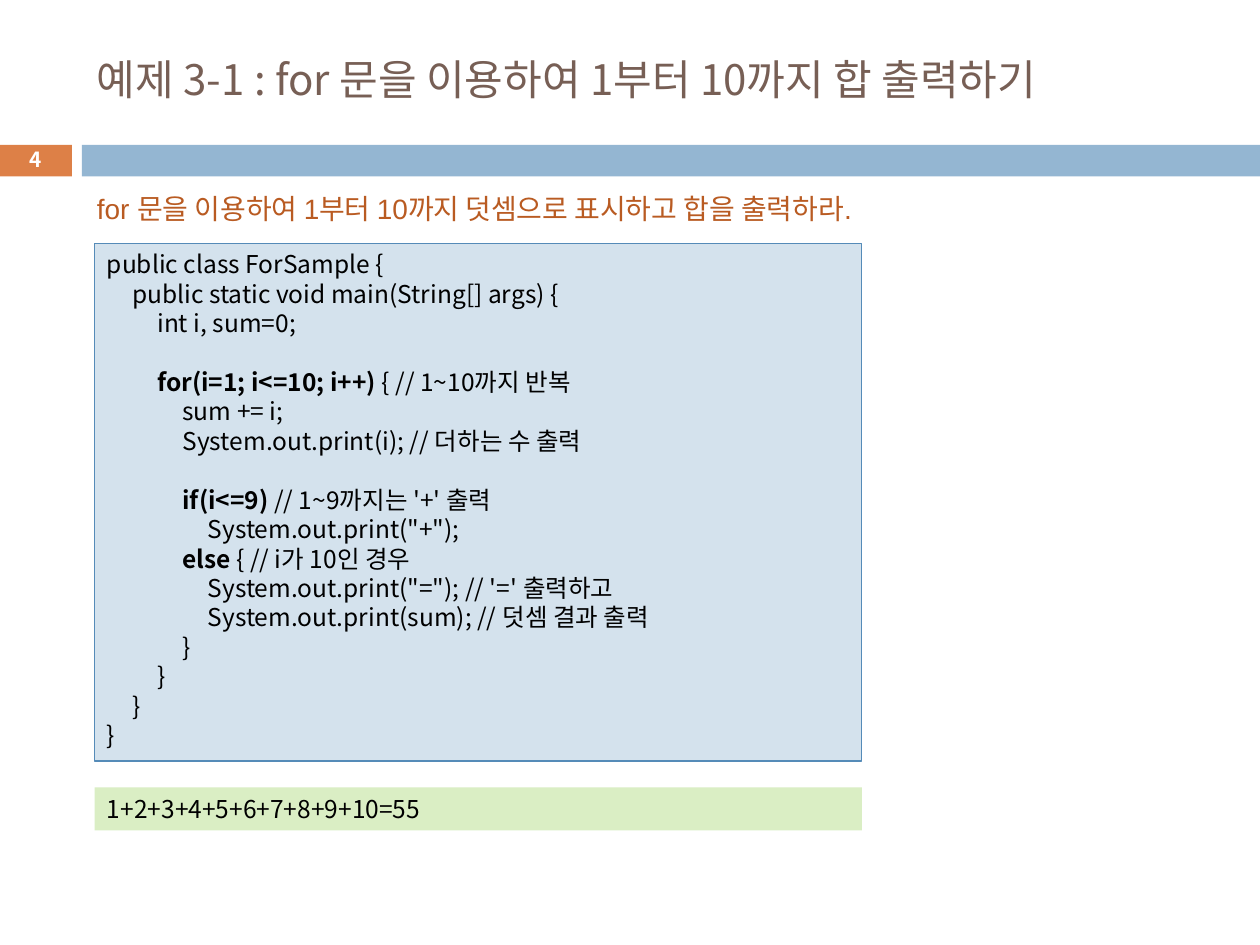
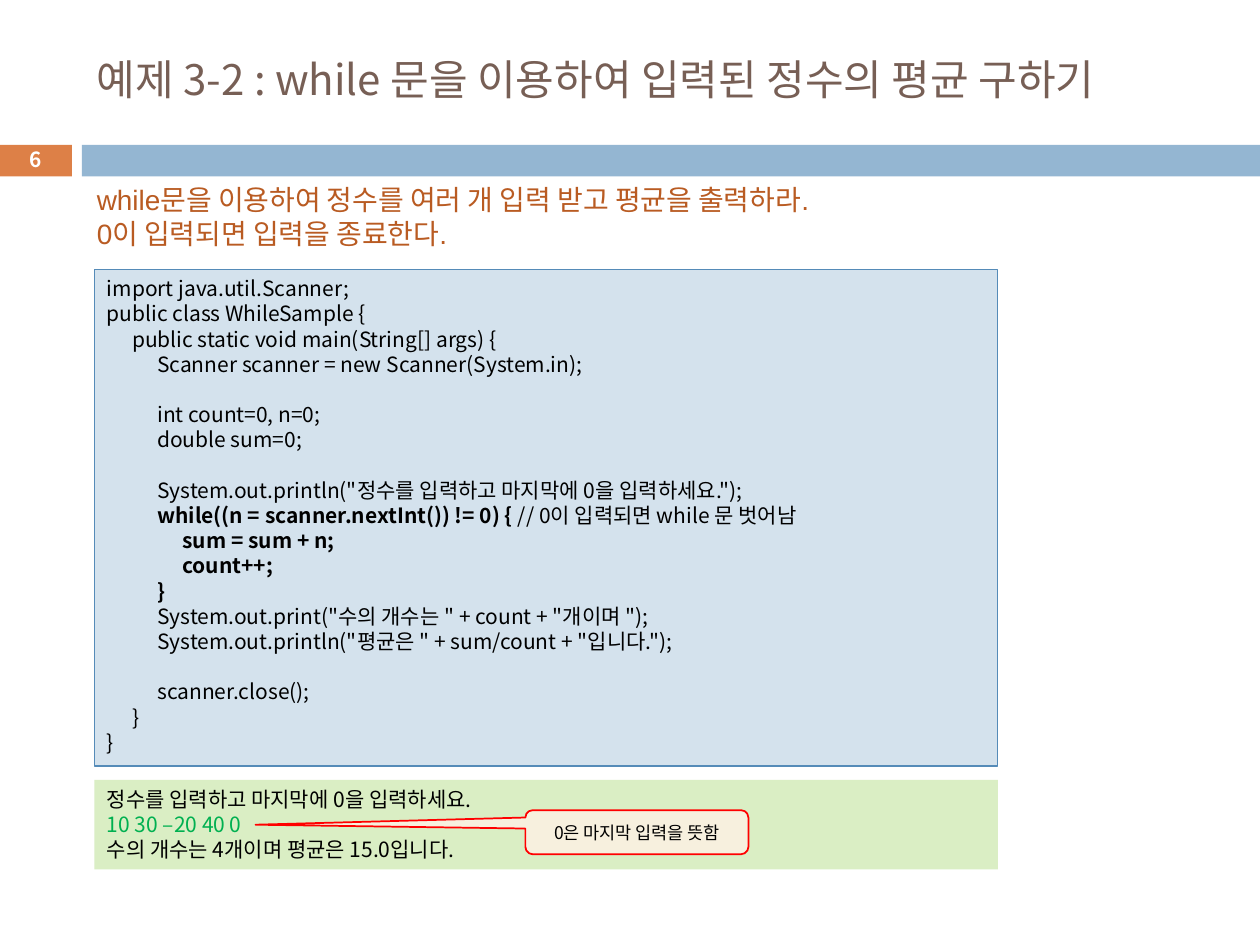
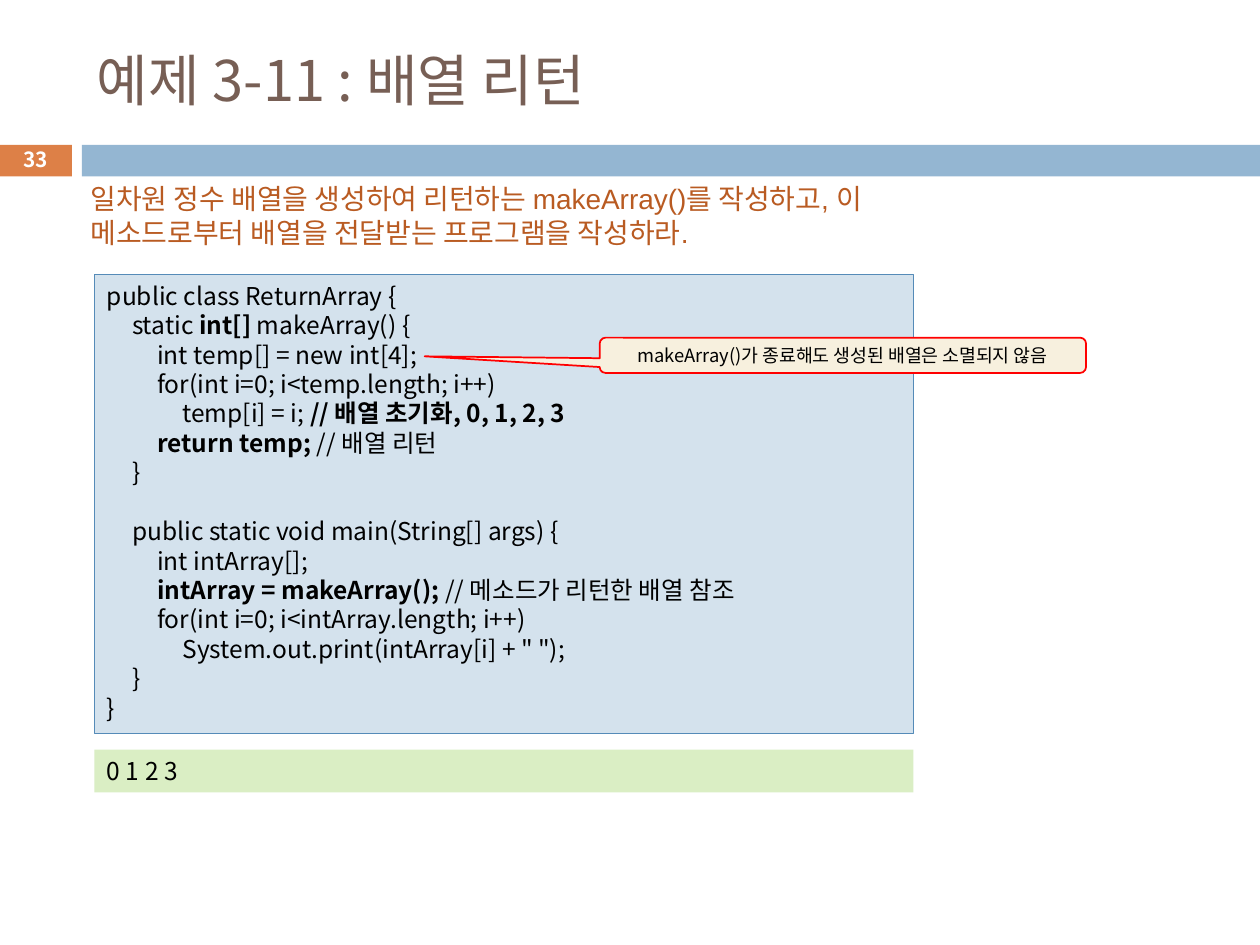
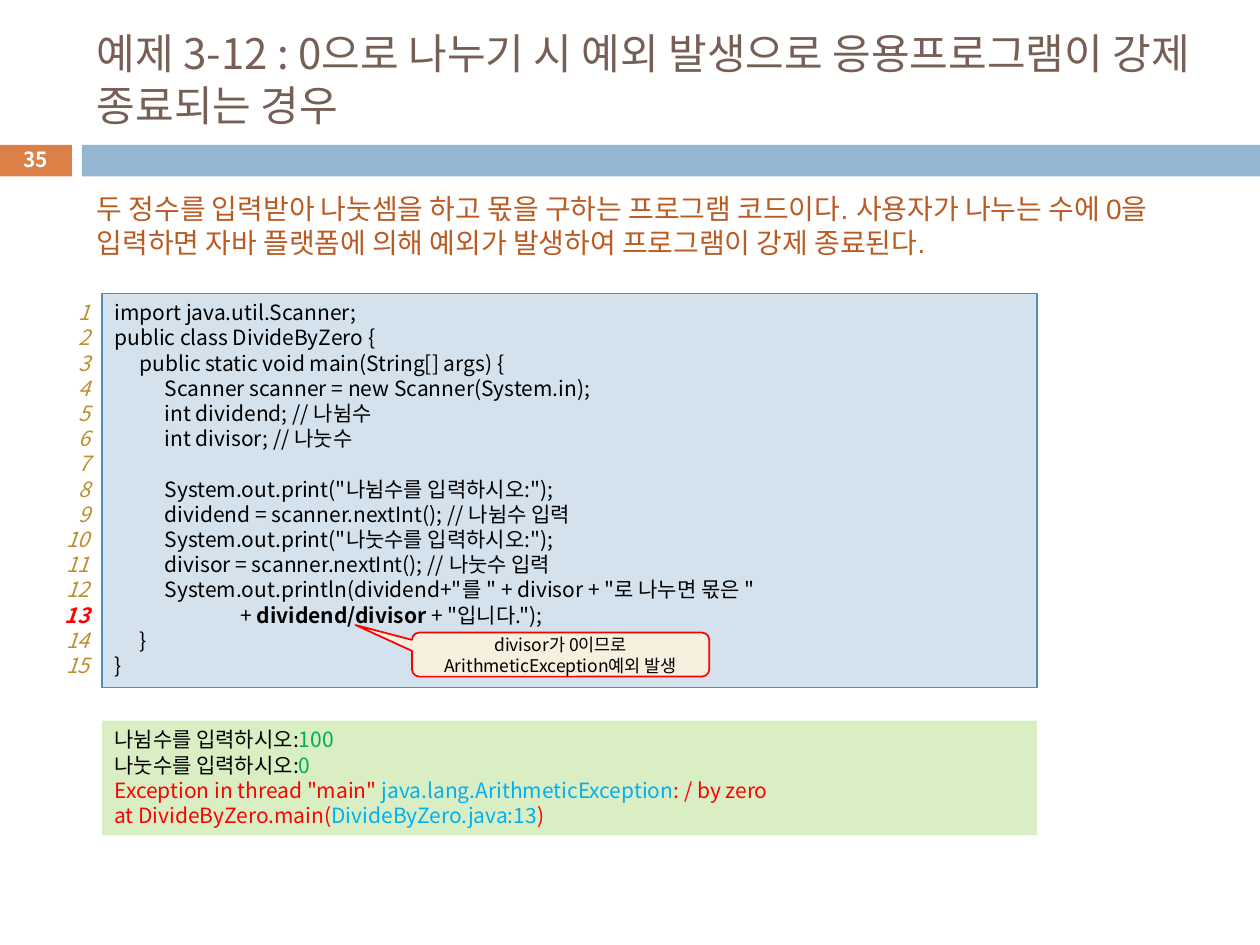
"""Build four Java example slides, each with its code, its output and notes."""
from lxml import etree
from pptx import Presentation
from pptx.dml.color import RGBColor
from pptx.enum.shapes import MSO_SHAPE
from pptx.enum.text import MSO_ANCHOR, PP_ALIGN
from pptx.oxml.ns import qn
from pptx.util import Inches, Pt

RECT = MSO_SHAPE.RECTANGLE
CALLOUT = MSO_SHAPE.ROUNDED_RECTANGULAR_CALLOUT
LEFT, CENTER, RIGHT = PP_ALIGN.LEFT, PP_ALIGN.CENTER, PP_ALIGN.RIGHT
TOP, MIDDLE = MSO_ANCHOR.TOP, MSO_ANCHOR.MIDDLE

SANS = "Noto Sans CJK KR"
BLACK, WHITE, RED = "000000", "FFFFFF", "FF0000"
ORANGE, BLUE = "DD8047", "94B6D2"
TITLE, TASK, GOLD = "775F55", "B95B22", "BA8F2D"
CODE_FILL, CODE_LINE = "D4E2ED", "558BB8"
OUTPUT_FILL, NOTE_FILL = "DAEEC4", "F7F0DE"
TAB = 0.2
MARKS = {
    "n": {},
    "b": {"bold": True},
    "g": {"color": "00B050"},
    "c": {"color": "00B0F0"},
    "r": {"color": RED},
    "e": {"color": RED, "bold": True},
}

SLIDES = [
    {
        "number": 4,
        "title": ("예제 3-1 : for 문을 이용하여 1부터 10까지 합 출력하기", 24, 8.92),
        "task": ("for 문을 이용하여 1부터 10까지 덧셈으로 표시하고 합을 출력하라.",
                 (0.67, 1.47, 6.93, 0.37)),
        "size": 14,
        "code_at": (0.75, 1.93, 6.09, 4.11),
        "code": """
public class ForSample {
    public static void main(String[] args) {
        int i, sum=0;

        §bfor(i=1; i<=10; i++)§n { // 1~10까지 반복
            sum += i;
            System.out.print(i); // 더하는 수 출력

            §bif(i<=9) §n// 1~9까지는 '+' 출력
                System.out.print("+");
            §belse §n{ // i가 10인 경우
                System.out.print("="); // '=' 출력하고
                System.out.print(sum); // 덧셈 결과 출력
            }
        }
    }
}
""",
        "output_at": (0.75, 6.25, 6.09, 0.34),
        "output": "1+2+3+4+5+6+7+8+9+10=55",
    },
    {
        "number": 6,
        "title": ("예제 3-2 : while 문을 이용하여 입력된 정수의 평균 구하기", 24, 9.13),
        "task": ("while문을 이용하여 정수를 여러 개 입력 받고 평균을 출력하라.\n"
                 "0이 입력되면 입력을 종료한다.", (0.67, 1.4, 6.57, 0.64)),
        "size": 12,
        "code_at": (0.75, 2.14, 7.17, 3.94),
        "code": """
import java.util.Scanner;
public class WhileSample {
    public static void main(String[] args) {
        Scanner scanner = new Scanner(System.in);

        int count=0, n=0;
        double sum=0;

        System.out.println("정수를 입력하고 마지막에 0을 입력하세요.");
        §bwhile((n = scanner.nextInt()) != 0) { §n// 0이 입력되면 while 문 벗어남
            §bsum = sum + n;
            §bcount++;
        §b}
        System.out.print("수의 개수는 " + count + "개이며 ");
        System.out.println("평균은 " + sum/count + "입니다.");

        scanner.close();
    }
}
""",
        "output_at": (0.75, 6.19, 7.17, 0.71),
        "output": """
정수를 입력하고 마지막에 0을 입력하세요.
§g10 30 –20 40 0
수의 개수는 4개이며 평균은 15.0입니다.
""",
        "note": ("0은 마지막 입력을 뜻함", 10, (4.17, 6.43, 1.77, 0.35), (-1.71, -0.17)),
    },
    {
        "number": 33,
        "title": ("예제 3-11 : 배열 리턴", 32, 8.92),
        "task": ("일차원 정수 배열을 생성하여 리턴하는 makeArray()를 작성하고, "
                 "이 메소드로부터 배열을 전달받는 프로그램을 작성하라.",
                 (0.62, 1.39, 7.37, 0.64)),
        "size": 14,
        "code_at": (0.75, 2.18, 6.5, 3.64),
        "code": """
public class ReturnArray {
    static §bint[] §nmakeArray() {
        int temp[] = new int[4];
        for(int i=0; i<temp.length; i++)
            temp[i] = i; §b// 배열 초기화, 0, 1, 2, 3
        §breturn temp; §n// 배열 리턴
    }

    public static void main(String[] args) {
        int intArray[];
        §bintArray = makeArray();§n // 메소드가 리턴한 배열 참조
        for(int i=0; i<intArray.length; i++)
            System.out.print(intArray[i] + " ");
    }
}
""",
        "output_at": (0.75, 5.95, 6.5, 0.34),
        "output": "0 1 2 3",
        "note": ("makeArray()가 종료해도 생성된 배열은 소멸되지 않음", 10.5,
                 (4.76, 2.68, 3.86, 0.28), (-0.86, 0.03)),
    },
    {
        "number": 35,
        "title": ("예제 3-12 : 0으로 나누기 시 예외 발생으로 응용프로그램이 "
                  "강제 종료되는 경우", 24, 8.92),
        "task": ("두 정수를 입력받아 나눗셈을 하고 몫을 구하는 프로그램 코드이다. "
                 "사용자가 나누는 수에 0을 입력하면 자바 플랫폼에 의해 예외가 발생하여 "
                 "프로그램이 강제 종료된다.", (0.67, 1.47, 8.66, 0.64)),
        "size": 12,
        "code_at": (0.81, 2.33, 7.42, 3.13),
        "code": """
import java.util.Scanner;
public class DivideByZero {
    public static void main(String[] args) {
        Scanner scanner = new Scanner(System.in);
        int dividend; // 나뉨수
        int divisor; // 나눗수

        System.out.print("나뉨수를 입력하시오:");
        dividend = scanner.nextInt(); // 나뉨수 입력
        System.out.print("나눗수를 입력하시오:");
        divisor = scanner.nextInt(); // 나눗수 입력
        System.out.println(dividend+"를 " + divisor + "로 나누면 몫은 "
                    + §bdividend/divisor§n + "입니다.");
    }
}
""",
        "output_at": (0.81, 5.72, 7.42, 0.91),
        "output": """
나뉨수를 입력하시오:§g100
나눗수를 입력하시오:§g0
§rException in thread "main" §cjava.lang.ArithmeticException§r: / by zero
§rat DivideByZero.main(§cDivideByZero.java:13§r)
""",
        "note": ("divisor가 0이므로\nArithmeticException예외 발생", 10,
                 (3.27, 5.02, 2.36, 0.35), (-0.69, -0.67)),
        "error_line": 13,
    },
]


def add_box(s, at, kind=None, fill=None, line=None, width=0.75):
    """Add a preset shape, or a text box when no kind is given."""
    at = [Inches(v) for v in at]
    if kind is None:
        return s.shapes.add_textbox(*at)
    sp = s.shapes.add_shape(kind, *at)
    sp.shadow.inherit = False
    sp.fill.solid()
    sp.fill.fore_color.rgb = RGBColor.from_string(fill)
    if line:
        sp.line.color.rgb = RGBColor.from_string(line)
        sp.line.width = Pt(width)
    else:
        sp.line.fill.background()
    return sp


def write(sp, text, size=12, color=BLACK, font=SANS, bold=False, italic=False,
          align=LEFT, anchor=TOP, spacing=1.2):
    """Write lines of text; § and a letter of MARKS change the format."""
    tf = sp.text_frame
    tf.word_wrap = True
    tf.vertical_anchor = anchor
    p, blank = None, False
    for row in text.strip("\n").split("\n"):
        if not row:
            blank = True
            continue
        p = tf.add_paragraph() if p else tf.paragraphs[0]
        p.alignment = align
        p.line_spacing = Pt(size * spacing)
        if blank:
            p.space_before = Pt(size * spacing)
            blank = False
        row = row.replace("    ", "\t")
        if "\t" in row:
            tabs = etree.SubElement(p._p.get_or_add_pPr(), qn("a:tabLst"))
            for i in range(row.count("\t")):
                etree.SubElement(tabs, qn("a:tab"), pos=str(Inches(TAB * (i + 1))), algn="l")
        for i, part in enumerate(row.split("§")):
            mark = MARKS[part[0]] if i else {}
            part = part[1:] if i else part
            if not part:
                continue
            r = p.add_run()
            r.text = part
            r.font.size = Pt(size)
            r.font.name = font
            r.font.bold = mark.get("bold", bold)
            r.font.italic = italic
            r.font.color.rgb = RGBColor.from_string(mark.get("color", color))
            etree.SubElement(r._r.get_or_add_rPr(), qn("a:ea"), typeface=SANS)


prs = Presentation()
prs.slide_width, prs.slide_height = Inches(10), Inches(7.5)

for data in SLIDES:
    s = prs.slides.add_slide(prs.slide_layouts[6])
    add_box(s, (-0.01, 1.15, 0.58, 0.25), RECT, ORANGE)
    add_box(s, (0.65, 1.15, 9.35, 0.25), RECT, BLUE)
    write(add_box(s, (-0.01, 1.13, 0.58, 0.27)), str(data["number"]), size=11.9,
          color=WHITE, bold=True, align=CENTER, anchor=MIDDLE)

    title, size, width = data["title"]
    write(add_box(s, (0.67, 0.25, width, 0.74)), title, size=size, color=TITLE,
          anchor=MIDDLE, spacing=1.24)
    task, at = data["task"]
    write(add_box(s, at), task, size=16, color=TASK, font="Arial", spacing=1.21)

    code = add_box(s, data["code_at"], RECT, CODE_FILL, CODE_LINE)
    write(code, data["code"], size=data["size"])
    output = add_box(s, data["output_at"], RECT, OUTPUT_FILL)
    write(output, data["output"], size=data["size"])

    if "note" in data:
        text, size, at, tip = data["note"]
        note = add_box(s, at, CALLOUT, NOTE_FILL, RED, 1)
        note.adjustments[0], note.adjustments[1] = tip
        write(note, text, size=size, align=CENTER, anchor=MIDDLE)

    if "error_line" in data:
        left, top, width, height = data["code_at"]
        count = len(data["code"].strip("\n").split("\n"))
        numbers = [f"§e{n}" if n == data["error_line"] else str(n)
                   for n in range(1, count + 1)]
        write(add_box(s, (left - 0.47, top, 0.47, height)), "\n".join(numbers),
              color=GOLD, italic=True, align=RIGHT)

prs.save("out.pptx")
